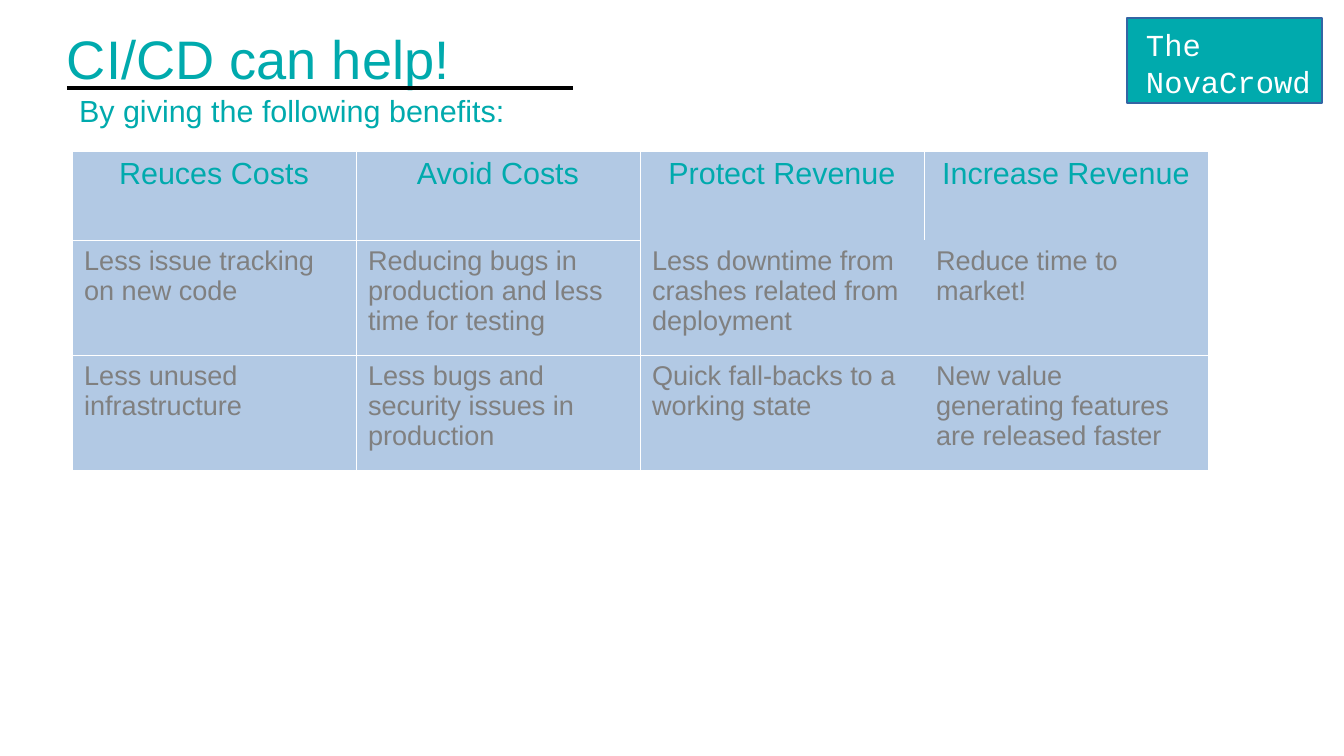
from dataclasses import dataclass

from lxml import etree
from pptx import Presentation
from pptx import util as u
from pptx.dml.color import RGBColor
from pptx.enum import shapes, text
from pptx.oxml import ns

SCALE = 7495  # EMU in one px


@dataclass(frozen=True)
class Theme:
    teal: str = "00AAAD"
    white: str = "FFFFFF"
    black: str = "000000"
    grey: str = "808080"
    cell: str = "B2C9E4"
    outline: str = "3465A4"
    sans: str = "Arial"
    mono: str = "Courier New"
    title: int = 32
    heading: int = 18
    body: int = 16


THEME = Theme()

BENEFITS = [
    ["Reuces Costs", "Avoid Costs", "Protect Revenue", "Increase Revenue"],
    ["Less issue tracking on new code",
     "Reducing bugs in production and less time for testing",
     "Less downtime from crashes related from deployment",
     "Reduce time to market!"],
    ["Less unused infrastructure",
     "Less bugs and security issues in production",
     "Quick fall-backs to a working state",
     "New value generating features are released faster"],
]
COLUMN_WIDTH = 284
ROW_HEIGHTS = [89, 115, 115]


def px(*lengths):
    return [u.Emu(length * SCALE) for length in lengths]


def color(value):
    return RGBColor.from_string(value)


def write(frame, lines, size, ink, font=THEME.sans, align=text.PP_ALIGN.LEFT):
    para = frame.paragraphs[0]
    para.alignment = align
    for index, line in enumerate(lines):
        if index:
            para.add_line_break()
        span = para.add_run()
        span.text = line
        span.font.name = font
        span.font.size = u.Pt(size)
        span.font.bold = False
        span.font.color.rgb = color(ink)


def add_text(page, place, lines, size, ink, font=THEME.sans):
    frame = page.shapes.add_textbox(*px(*place)).text_frame
    frame.word_wrap = True
    write(frame, lines, size, ink, font)
    return frame


def add_title(page, place, title):
    frame = add_text(page, place, [title], THEME.title, THEME.teal)
    frame.vertical_anchor = text.MSO_ANCHOR.MIDDLE
    frame.margin_left = frame.margin_right = 0
    frame.margin_top = frame.margin_bottom = 0


def add_panel(page, place):
    panel = page.shapes.add_shape(shapes.MSO_SHAPE.RECTANGLE, *px(*place))
    panel.shadow.inherit = False
    panel.fill.solid()
    panel.fill.fore_color.rgb = color(THEME.teal)
    panel.line.color.rgb = color(THEME.outline)
    panel.line.width = u.Pt(0)


def add_rule(page, start, end):
    rule = page.shapes.add_connector(
        shapes.MSO_CONNECTOR.STRAIGHT, *px(*start, *end))
    rule.line.color.rgb = color(THEME.black)
    rule.line.width = u.Pt(0)
    etree.SubElement(rule._element.spPr, ns.qn("a:effectLst"))


def set_borders(cell, hidden):
    """Draw thin white edges, except the hidden ones."""
    properties = cell._tc.get_or_add_tcPr()
    for index, edge in enumerate("LRTB"):
        line = etree.Element(ns.qn(f"a:ln{edge}"), w="762")
        if edge in hidden:
            etree.SubElement(line, ns.qn("a:noFill"))
        else:
            fill = etree.SubElement(line, ns.qn("a:solidFill"))
            etree.SubElement(fill, ns.qn("a:srgbClr"), val=THEME.white)
        properties.insert(index, line)


def hidden_edges(row, column):
    """The revenue columns have no line under the header or between bodies."""
    hidden = ""
    if column >= 2:
        hidden += {0: "B", 1: "T"}.get(row, "")
        if row:
            hidden += "R" if column == 2 else "L"
    return hidden


def add_benefits(page, left, top):
    columns = len(BENEFITS[0])
    table = page.shapes.add_table(
        len(BENEFITS), columns,
        *px(left, top, columns * COLUMN_WIDTH, sum(ROW_HEIGHTS))).table
    table.first_row = table.horz_banding = False
    for column in table.columns:
        column.width = px(COLUMN_WIDTH)[0]
    for row, words in enumerate(BENEFITS):
        table.rows[row].height = px(ROW_HEIGHTS[row])[0]
        for column, label in enumerate(words):
            cell = table.cell(row, column)
            cell.fill.solid()
            cell.fill.fore_color.rgb = color(THEME.cell)
            set_borders(cell, hidden_edges(row, column))
            if row == 0:
                write(cell.text_frame, [label], THEME.heading, THEME.teal,
                      align=text.PP_ALIGN.CENTER)
            else:
                write(cell.text_frame, [label], THEME.body, THEME.grey)


def main():
    deck = Presentation()
    deck.slide_width, deck.slide_height = px(1344, 756)
    page = deck.slides.add_slide(deck.slide_layouts[6])

    # Title
    add_title(page, (67, 27, 1210, 61), "CI/CD can help!")

    # Name panel
    add_panel(page, (1127, 18, 195, 85))
    add_text(page, (1134, 20, 195, 115), ["The", "NovaCrowd"],
             THEME.heading, THEME.white, THEME.mono)

    # Subtitle and rule
    add_text(page, (67, 86, 604, 49), ["By giving the following benefits:"],
             THEME.heading, THEME.teal)
    add_rule(page, (67, 88), (573, 88))

    # Benefits table
    add_benefits(page, 72, 151)

    deck.save("out.pptx")


if __name__ == "__main__":
    main()
